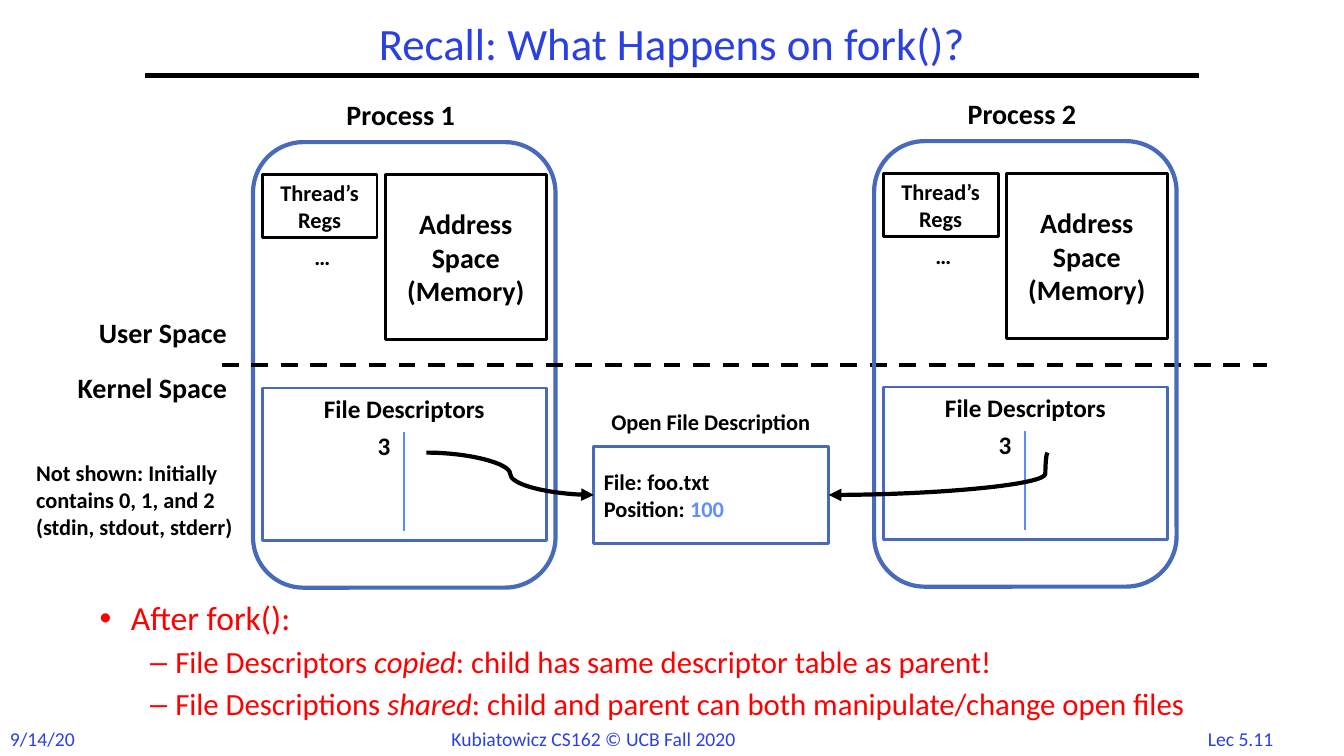
from lxml import etree
from pptx import Presentation
from pptx.dml.color import RGBColor
from pptx.enum.dml import MSO_LINE
from pptx.enum.shapes import MSO_CONNECTOR, MSO_SHAPE
from pptx.enum.text import MSO_ANCHOR, PP_ALIGN
from pptx.oxml.ns import qn
from pptx.util import Inches, Pt

LEFT, MID, RIGHT = PP_ALIGN.LEFT, PP_ALIGN.CENTER, PP_ALIGN.RIGHT
TOP, HALF = MSO_ANCHOR.TOP, MSO_ANCHOR.MIDDLE
RECT, ROUND = MSO_SHAPE.RECTANGLE, MSO_SHAPE.ROUNDED_RECTANGLE
LINE, CURVE = MSO_CONNECTOR.STRAIGHT, MSO_CONNECTOR.CURVE
DASH = MSO_LINE.DASH
FONT = "Calibri"
HUES = {
    "black": "000000",
    "white": "FFFFFF",
    "title": "2A40E2",
    "frame": "486ABB",
    "rule": "5B8AFB",
    "count": "618FFD",
    "red": "FF0000",
}


def hue(name):
    return RGBColor.from_string(HUES[name])


def add_run(para, text, size, color="black", bold=True, slant=False):
    run = para.add_run()
    run.text = text
    font = run.font
    font.name, font.size = FONT, Pt(size)
    font.bold, font.italic = bold, slant
    font.color.rgb = hue(color)


def label(slide, box, text, size, align=LEFT, color="black", bold=True, wrap=False, anchor=TOP):
    shape = slide.shapes.add_textbox(*map(Inches, box))
    frame = shape.text_frame
    frame.word_wrap = wrap
    frame.vertical_anchor = anchor
    para = frame.paragraphs[0]
    para.alignment = align
    add_run(para, text, size, color, bold)
    return para


def panel(slide, box, edge, width, kind=RECT, fill="white", anchor=HALF):
    shape = slide.shapes.add_shape(kind, *map(Inches, box))
    shape.shadow.inherit = False
    if fill:
        shape.fill.solid()
        shape.fill.fore_color.rgb = hue(fill)
    else:
        shape.fill.background()
    shape.line.color.rgb = hue(edge)
    shape.line.width = Pt(width)
    frame = shape.text_frame
    frame.word_wrap = True
    frame.vertical_anchor = anchor
    return frame.paragraphs[0]


def card(slide, box, text, size, edge="black", anchor=HALF):
    para = panel(slide, box, edge, 2, anchor=anchor)
    para.alignment = MID
    add_run(para, text, size)


def stroke(slide, start, end, color="black", width=3, kind=LINE, dash=None, head=False, bend=None):
    link = slide.shapes.add_connector(kind, *map(Inches, start + end))
    link.line.color.rgb = hue(color)
    link.line.width = Pt(width)
    if dash:
        link.line.dash_style = dash
    props = link._element.spPr
    if head:
        etree.SubElement(props.find(qn("a:ln")), qn("a:tailEnd"), type="triangle")
    if bend is not None:
        guides = props.find(qn("a:prstGeom")).find(qn("a:avLst"))
        etree.SubElement(guides, qn("a:gd"), name="adj1", fmla=f"val {bend}")
    etree.SubElement(props, qn("a:effectLst"))


def header(slide, box):
    x, y, w, h = box
    para = label(slide, box, "Recall: What Happens on fork()?", 32, MID, "title", False, True, HALF)
    para.line_spacing = 0.9
    stroke(slide, (x, y + h), (x + w, y + h))


def footer(slide, box):
    x, y, w, h = box
    marks = [
        (x, 0.85, "9/14/20", LEFT),
        (x + 4.38, 3.43, "Kubiatowicz CS162 © UCB Fall 2020", LEFT),
        (x + 11.82, 0.97, "Lec 5.11", MID),
    ]
    for left, wide, text, align in marks:
        label(slide, (left, y, wide, h), text, 14, align, "title", False)


def process(slide, box, name):
    x, y, w, h = box
    panel(slide, box, "frame", 3, ROUND, None)
    label(slide, (x + 0.7, y - 0.49, 1.53, 0.44), name, 20, MID)
    card(slide, (x + 1.31, y + 0.32, 1.6, 1.64), "Address Space (Memory)", 20)
    card(slide, (x + 0.09, y + 0.32, 1.14, 0.63), "Thread’s Regs", 16)
    label(slide, (x + 0.51, y + 0.95, 0.43, 0.37), "…", 16)
    card(slide, (x + 0.09, y + 2.44, 2.82, 1.51), "File Descriptors", 18, "frame", TOP)
    stroke(slide, (x + 1.5, y + 2.88), (x + 1.5, y + 3.86), "rule", 1.5)
    label(slide, (x + 1.12, y + 2.81, 0.34, 0.4), "3", 18, RIGHT)


def spaces(slide, box):
    x, y, w, h = box
    stroke(slide, (x, y), (x + w, y), dash=DASH)
    label(slide, (x - 1.58, y - 0.54, 1.73, 0.44), "User Space", 20, RIGHT)
    label(slide, (x - 1.83, y + 0.01, 1.98, 0.44), "Kernel Space", 20, RIGHT)
    note = "Not shown: Initially contains 0, 1, and 2 (stdin, stdout, stderr)"
    label(slide, (x - 1.94, y + 0.89, 2.21, 1.18), note, 16, wrap=True)


def open_file(slide, box):
    x, y, w, h = box
    label(slide, (x - 0.1, y - 0.43, w + 0.19, 0.37), "Open File Description", 16, MID)
    para = panel(slide, box, "frame", 2)
    para.alignment = LEFT
    add_run(para, "File: foo.txt", 16)
    para = slide.shapes[-1].text_frame.add_paragraph()
    para.alignment = LEFT
    add_run(para, "Position: ", 16)
    add_run(para, "100", 16, "count")
    mid = y + h / 2
    stroke(slide, (x - 1.66, mid - 0.42), (x, mid), kind=CURVE, head=True)
    stroke(slide, (x + w + 2.17, mid - 0.42), (x + w, mid), kind=CURVE, head=True, bend=1000)


def points(slide, box):
    frame = slide.shapes.add_textbox(*map(Inches, box)).text_frame
    frame.word_wrap = True
    rows = [
        (0, ["After fork():"]),
        (1, ["File Descriptors ", "copied", ": child has same descriptor table as parent!"]),
        (1, ["File Descriptions ", "shared",
             ": child and parent can both manipulate/change open files"]),
    ]
    looks = [("•", 0.31, 0.31, 24), ("–", 0.75, 0.25, 22)]
    for i, (level, parts) in enumerate(rows):
        sign, left, hang, size = looks[level]
        para = frame.add_paragraph() if i else frame.paragraphs[0]
        para.level = level
        para.line_spacing = 0.9
        if i:
            para.space_before = Pt(6.5)
        props = para._p.get_or_add_pPr()
        props.set("marL", str(Inches(left)))
        props.set("indent", str(-Inches(hang)))
        etree.SubElement(props, qn("a:buFont"), typeface="Arial")
        etree.SubElement(props, qn("a:buChar"), char=sign)
        for j, text in enumerate(parts):
            add_run(para, text, size, "red", False, j == 1)


def main():
    deck = Presentation()
    deck.slide_width, deck.slide_height = Inches(13.33), Inches(7.5)
    slide = deck.slides.add_slide(deck.slide_layouts[6])
    footer(slide, (0, 7.16, 13.33, 0.34))
    header(slide, (1.44, 0.17, 10.45, 0.58))
    points(slide, (0.89, 5.92, 12.11, 1.64))
    process(slide, (2.51, 1.41, 3, 4.42), "Process 1")
    spaces(slide, (2.2, 3.62, 10.37, 0))
    process(slide, (8.67, 1.4, 3, 4.42), "Process 2")
    open_file(slide, (5.89, 4.43, 2.33, 0.96))
    deck.save("out.pptx")


if __name__ == "__main__":
    main()
